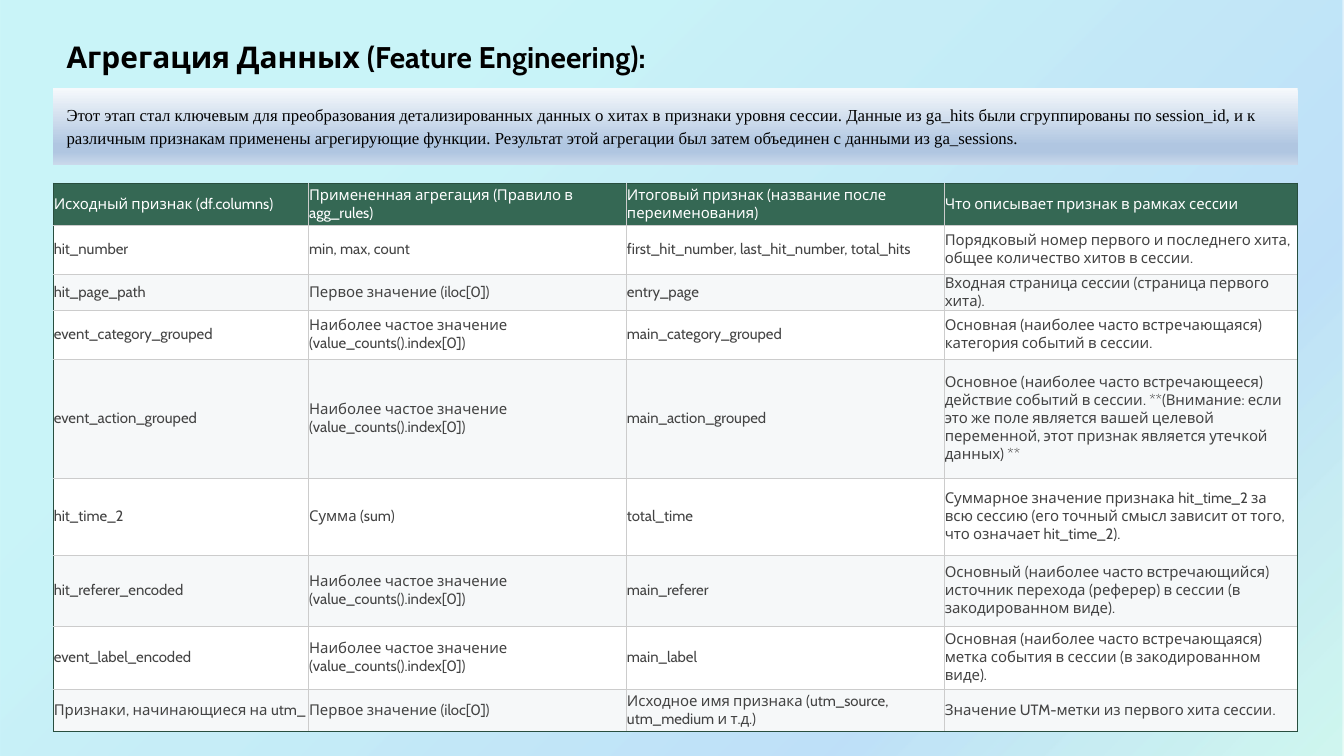
"""Build the slide about aggregating hit data into session-level features."""
from typing import Any, NamedTuple

from lxml import etree
from pptx import Presentation
from pptx.dml.color import RGBColor
from pptx.enum.shapes import MSO_SHAPE
from pptx.enum.text import MSO_ANCHOR, MSO_AUTO_SIZE, PP_ALIGN
from pptx.oxml import parse_xml
from pptx.oxml.ns import nsdecls, qn
from pptx.util import Inches, Pt

RECT = MSO_SHAPE.RECTANGLE
TOP, MIDDLE = MSO_ANCHOR.TOP, MSO_ANCHOR.MIDDLE
GROW = MSO_AUTO_SIZE.SHAPE_TO_FIT_TEXT
LEFT = PP_ALIGN.LEFT
TITLE_ONLY = 5
SLIDE_W, SLIDE_H = Inches(20), Inches(11.25)

COLORS = {
    "black": "000000", "white": "FFFFFF", "body": "434343",
    "header": "356854", "band": "F6F8F9", "frame": "284E3F", "grid": "CCCCCC",
    "cyan": "21D6E0", "azure": "0087E6", "mint": "03D4A8", "navy": "005CBF",
    "frost": "F6F9FC", "steel": "B0C6E1", "mist": "CAD9EB",
}


class Area(NamedTuple):
    """A rectangle in percent of the slide's width and height."""
    left: float
    top: float
    width: float
    height: float


class Stop(NamedTuple):
    """A gradient stop with position and opacity in percent."""
    pos: int
    color: str
    opacity: int = 100


class TextStyle(NamedTuple):
    """The look of one paragraph."""
    font: str
    size: int
    color: str
    bold: bool = False
    spacing: float = 1.0


class FeatureRow(NamedTuple):
    """A table row, its height in percent of the slide's height."""
    height: float
    cells: tuple[str, str, str, str]


BACKDROP = Area(0, 0, 100, 102.22)
INTRO_AREA = Area(3.95, 11.64, 92.6, 10.22)
TITLE_AREA = Area(3.95, 3.29, 63, 8.36)
TABLE_AREA = Area(3.95, 24.18, 92.6, 72.53)
COLUMN_WIDTHS = (19, 23.65, 23.65, 26.25)

BACKDROP_STOPS = (Stop(25, "cyan", 23), Stop(75, "azure", 25),
                  Stop(100, "mint", 18), Stop(100, "navy", 26))
INTRO_STOPS = (Stop(0, "frost"), Stop(74, "steel"), Stop(83, "steel"), Stop(100, "mist"))

TITLE_STYLE = TextStyle("Cabin", 32, "black", bold=True)
INTRO_STYLE = TextStyle("Times New Roman", 18, "black", spacing=1.15)
HEADER_STYLE = TextStyle("Cabin", 16, "white")
BODY_STYLE = TextStyle("Cabin", 16, "body")

TITLE = "Агрегация Данных (Feature Engineering):"
INTRO = (
    "Этот этап стал ключевым для преобразования детализированных данных о хитах в признаки "
    "уровня сессии. Данные из ga_hits были сгруппированы по session_id, и к различным признакам "
    "применены агрегирующие функции. Результат этой агрегации был затем объединен с данными "
    "из ga_sessions."
)
FIRST = "Первое значение (iloc[0])"
MOST_FREQUENT = "Наиболее частое значение (value_counts().index[0])"

ROWS = (
    FeatureRow(5.6, ("Исходный признак (df.columns)",
                     "Примененная агрегация (Правило в agg_rules)",
                     "Итоговый признак (название после переименования)",
                     "Что описывает признак в рамках сессии")),
    FeatureRow(6.49, ("hit_number", "min, max, count",
                      "first_hit_number, last_hit_number, total_hits",
                      "Порядковый номер первого и последнего хита, "
                      "общее количество хитов в сессии.")),
    FeatureRow(4.71, ("hit_page_path", FIRST, "entry_page",
                      "Входная страница сессии (страница первого хита).")),
    FeatureRow(6.49, ("event_category_grouped", MOST_FREQUENT, "main_category_grouped",
                      "Основная (наиболее часто встречающаяся) категория событий в сессии.")),
    FeatureRow(15.73, ("event_action_grouped", MOST_FREQUENT, "main_action_grouped",
                       "Основное (наиболее часто встречающееся) действие событий в сессии. "
                       "**(Внимание: если это же поле является вашей целевой переменной, "
                       "этот признак является утечкой данных) **")),
    FeatureRow(10.22, ("hit_time_2", "Сумма (sum)", "total_time",
                       "Суммарное значение признака hit_time_2 за всю сессию (его точный "
                       "смысл зависит от того, что означает hit_time_2).")),
    FeatureRow(9.33, ("hit_referer_encoded", MOST_FREQUENT, "main_referer",
                      "Основный (наиболее часто встречающийся) источник перехода (реферер) "
                      "в сессии (в закодированном виде).")),
    FeatureRow(8.36, ("event_label_encoded", MOST_FREQUENT, "main_label",
                      "Основная (наиболее часто встречающаяся) метка события в сессии "
                      "(в закодированном виде).")),
    FeatureRow(5.6, ("Признаки, начинающиеся на utm_", FIRST,
                     "Исходное имя признака (utm_source, utm_medium и т.д.)",
                     "Значение UTM-метки из первого хита сессии.")),
)


def set_all(target: Any, values: dict[str, Any]) -> None:
    """Set each named attribute of the target."""
    for name, value in values.items():
        setattr(target, name, value)


def across(share: float) -> int:
    """Convert a percentage of the slide's width to a length."""
    return round(SLIDE_W * share / 100)


def down(share: float) -> int:
    """Convert a percentage of the slide's height to a length."""
    return round(SLIDE_H * share / 100)


def box(area: Area) -> tuple[int, int, int, int]:
    """Return left, top, width and height of an area."""
    return across(area.left), down(area.top), across(area.width), down(area.height)


def write(tf: Any, text: str, style: TextStyle) -> None:
    """Write one styled paragraph into a text frame."""
    p = tf.paragraphs[0]
    set_all(p, {"alignment": LEFT, "line_spacing": style.spacing})
    r = p.add_run()
    r.text = text
    set_all(r.font, {"name": style.font, "size": Pt(style.size), "bold": style.bold})
    r.font.color.rgb = RGBColor.from_string(COLORS[style.color])


def frame_text(tf: Any, text: str, style: TextStyle, **extra: Any) -> None:
    """Fill a padded text frame from its top."""
    sides = ("margin_left", "margin_top", "margin_right", "margin_bottom")
    set_all(tf, dict.fromkeys(sides, Inches(0.2)))
    set_all(tf, {"word_wrap": True, "vertical_anchor": TOP, **extra})
    write(tf, text, style)


def add_gradient_box(s: Any, area: Area, stops: tuple[Stop, ...], angle: int) -> Any:
    """Add a borderless rectangle with a linear gradient."""
    sp = s.shapes.add_shape(RECT, *box(area))
    sp.shadow.inherit = False
    sp.line.fill.background()
    marks = "".join(
        f'<a:gs pos="{stop.pos * 1000}"><a:srgbClr val="{COLORS[stop.color]}">'
        f'<a:alpha val="{stop.opacity * 1000}"/></a:srgbClr></a:gs>' for stop in stops)
    fill = parse_xml(f'<a:gradFill {nsdecls("a")} rotWithShape="1"><a:gsLst>{marks}</a:gsLst>'
                     f'<a:lin ang="{angle * 60000}" scaled="0"/></a:gradFill>')
    sp._element.spPr.find(qn("a:prstGeom")).addnext(fill)
    return sp


def set_borders(cell: Any, outer: dict[str, bool]) -> None:
    """Draw the four sides of a cell, darker on the table's edge."""
    tc_pr = cell._tc.get_or_add_tcPr()
    for i, (side, is_outer) in enumerate(outer.items()):
        ln = etree.Element(qn(f"a:ln{side}"), w=str(Pt(0.6)))
        fill = etree.SubElement(ln, qn("a:solidFill"))
        etree.SubElement(fill, qn("a:srgbClr"), val=COLORS["frame" if is_outer else "grid"])
        tc_pr.insert(i, ln)


def add_feature_table(s: Any, rows: tuple[FeatureRow, ...]) -> None:
    """Add the table with a header row and banded body rows."""
    last_row, last_col = len(rows) - 1, len(COLUMN_WIDTHS) - 1
    table = s.shapes.add_table(len(rows), len(COLUMN_WIDTHS), *box(TABLE_AREA)).table
    set_all(table, {"first_row": False, "horz_banding": False})
    for column, width in zip(table.columns, COLUMN_WIDTHS):
        column.width = across(width)
    for i, row in enumerate(rows):
        table.rows[i].height = down(row.height)
        fill = "header" if i == 0 else "white" if i % 2 else "band"
        for j, text in enumerate(row.cells):
            cell = table.cell(i, j)
            set_all(cell, {"margin_left": Inches(0.01), "margin_right": Inches(0.01),
                           "margin_top": 0, "margin_bottom": 0, "vertical_anchor": MIDDLE})
            write(cell.text_frame, text, BODY_STYLE if i else HEADER_STYLE)
            cell.fill.solid()
            cell.fill.fore_color.rgb = RGBColor.from_string(COLORS[fill])
            set_borders(cell, {"L": j == 0, "R": j == last_col, "T": i == 0, "B": i == last_row})


def main() -> None:
    """Build and save the presentation."""
    prs = Presentation()
    set_all(prs, {"slide_width": SLIDE_W, "slide_height": SLIDE_H})
    s = prs.slides.add_slide(prs.slide_layouts[TITLE_ONLY])
    add_gradient_box(s, BACKDROP, BACKDROP_STOPS, 45)
    intro = add_gradient_box(s, INTRO_AREA, INTRO_STOPS, 90)
    frame_text(intro.text_frame, INTRO, INTRO_STYLE)
    title = s.shapes.title
    set_all(title, dict(zip(("left", "top", "width", "height"), box(TITLE_AREA))))
    frame_text(title.text_frame, TITLE, TITLE_STYLE, auto_size=GROW)
    s.shapes._spTree.append(title._element)
    add_feature_table(s, ROWS)
    prs.save("out.pptx")


if __name__ == "__main__":
    main()
